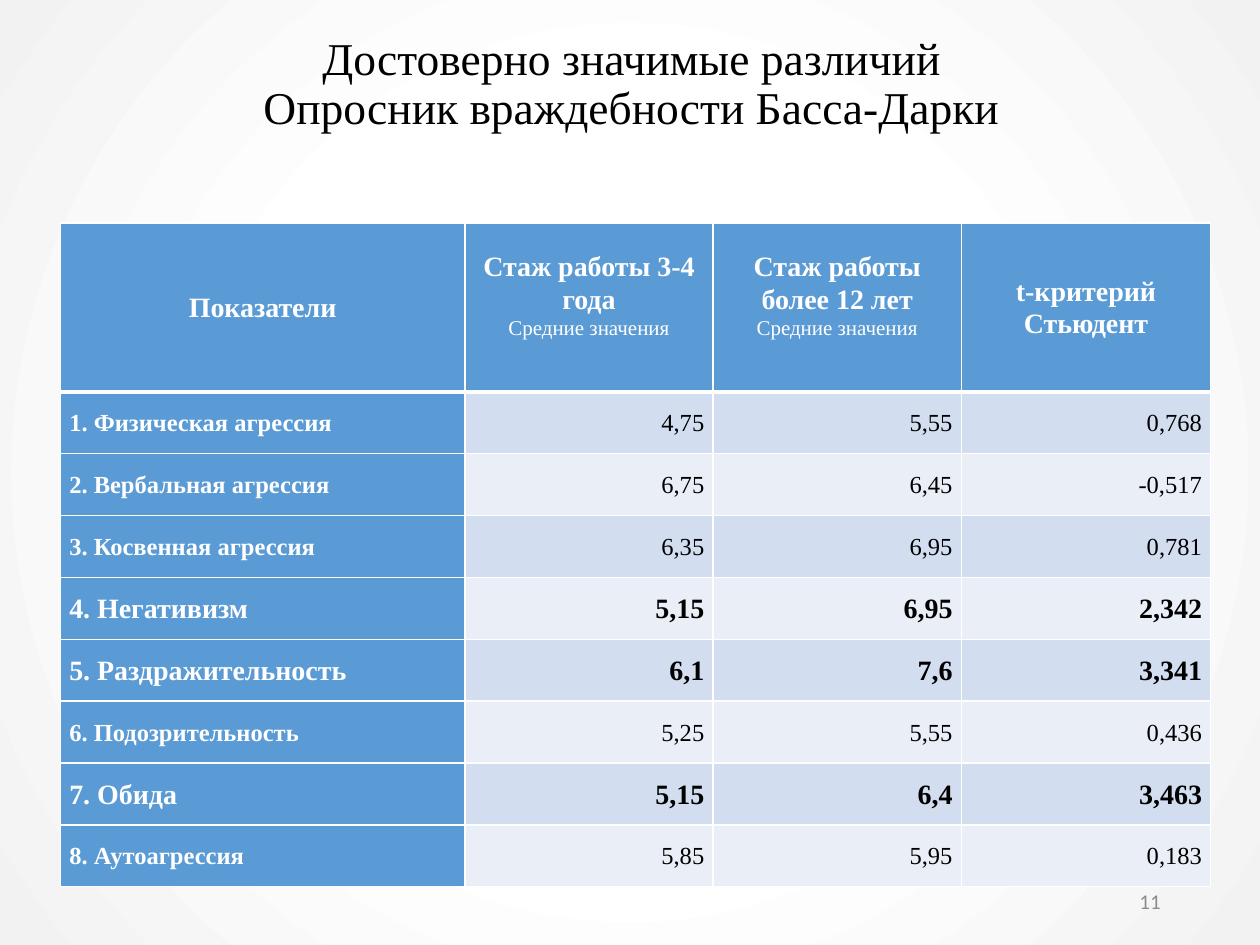
from lxml.etree import fromstring
from pptx import Presentation
from pptx.dml.color import RGBColor
from pptx.enum.shapes import MSO_SHAPE
from pptx.enum.text import MSO_ANCHOR, PP_ALIGN
from pptx.oxml.ns import nsdecls
from pptx.util import Inches, Pt

SERIF = "Times New Roman"
BLUE, WHITE, BLACK, GREY, EDGE = "5B9BD5", "FFFFFF", "000000", "8C8C8C", "F2F2F2"
BANDS = ("D2DEEF", "EAEFF7")
MEANS = "Средние значения"

HEADERS = [
    ["Показатели"],
    ["Стаж работы 3-4 года", MEANS],
    ["Стаж работы более 12 лет", MEANS],
    ["t-критерий Стьюдент"],
]
# Indicator, two mean values, t-test, significant difference
ROWS = [
    ("1. Физическая агрессия", "4,75", "5,55", "0,768", False),
    ("2. Вербальная агрессия", "6,75", "6,45", "-0,517", False),
    ("3. Косвенная агрессия", "6,35", "6,95", "0,781", False),
    ("4. Негативизм", "5,15", "6,95", "2,342", True),
    ("5. Раздражительность", "6,1", "7,6", "3,341", True),
    ("6. Подозрительность", "5,25", "5,55", "0,436", False),
    ("7. Обида", "5,15", "6,4", "3,463", True),
    ("8. Аутоагрессия", "5,85", "5,95", "0,183", False),
]
COLUMNS = (3.21, 1.97, 1.97, 1.98)
HEADER_HEIGHT, TABLE_HEIGHT = 1.34, 5.27


def rgb(color):
    return RGBColor.from_string(color)


def write(p, text, size=14, color=BLACK, bold=False, font=SERIF,
          align=PP_ALIGN.LEFT, spacing=1.0):
    """Fill a paragraph; a newline in the text is a line break."""
    p.alignment, p.line_spacing = align, spacing
    for i, line in enumerate(text.split("\n")):
        if i:
            p.add_line_break()
        r = p.add_run()
        r.text = line
        r.font.name, r.font.size, r.font.bold = font, Pt(size), bold
        r.font.color.rgb = rgb(color)


class Deck:
    def __init__(self, slide):
        self.s = slide

    def background(self, width, height):
        sp = self.s.shapes.add_shape(MSO_SHAPE.RECTANGLE, 0, 0, width, height)
        sp.shadow.inherit = False
        sp.line.fill.background()
        stops = "".join(
            f'<a:gs pos="{pos}"><a:srgbClr val="{color}"/></a:gs>'
            for pos, color in ((0, WHITE), (50000, WHITE), (100000, EDGE)))
        sp.fill.solid()
        solid = sp._element.spPr.find("{*}solidFill")
        solid.getparent().replace(solid, fromstring(
            f'<a:gradFill {nsdecls("a")}><a:gsLst>{stops}</a:gsLst>'
            '<a:path path="circle"><a:fillToRect l="50000" t="50000" '
            'r="50000" b="50000"/></a:path></a:gradFill>'))

    def text(self, x, y, w, h, text, **style):
        tf = self.s.shapes.add_textbox(
            Inches(x), Inches(y), Inches(w), Inches(h)).text_frame
        tf.word_wrap = True
        tf.vertical_anchor = MSO_ANCHOR.MIDDLE
        write(tf.paragraphs[0], text, **style)

    def table(self, x, y, columns, rows, height):
        table = self.s.shapes.add_table(
            rows, len(columns), Inches(x), Inches(y),
            Inches(sum(columns)), Inches(height)).table
        for column, width in zip(table.columns, columns):
            column.width = Inches(width)
        return table

    def cell(self, cell, fill, top=1, bottom=1, pad_bottom=0):
        """Style a cell and return its text frame."""
        cell.fill.solid()
        cell.fill.fore_color.rgb = rgb(fill)
        cell.vertical_anchor = MSO_ANCHOR.MIDDLE
        cell.margin_left = cell.margin_right = Inches(0.07)
        cell.margin_top, cell.margin_bottom = 0, Inches(pad_bottom)
        tcPr = cell._tc.get_or_add_tcPr()
        for i, (side, width) in enumerate(
                (("L", 1), ("R", 1), ("T", top), ("B", bottom))):
            tcPr.insert(i, fromstring(
                f'<a:ln{side} {nsdecls("a")} w="{Pt(width)}"><a:solidFill>'
                f'<a:srgbClr val="{WHITE}"/></a:solidFill></a:ln{side}>'))
        return cell.text_frame


def main():
    prs = Presentation()
    prs.slide_width, prs.slide_height = Inches(10), Inches(7.5)
    deck = Deck(prs.slides.add_slide(prs.slide_layouts[6]))

    # Background, title and page number
    deck.background(prs.slide_width, prs.slide_height)
    deck.text(0.71, 0.18, 8.61, 0.99,
              "Достоверно значимые различий\nОпросник враждебности Басса-Дарки",
              size=26, align=PP_ALIGN.CENTER, spacing=0.9)
    deck.text(7.06, 6.95, 2.25, 0.4, "11", size=12, color=GREY,
              font="Calibri", align=PP_ALIGN.RIGHT)

    # Table header
    table = deck.table(0.48, 1.77, COLUMNS, len(ROWS) + 1, TABLE_HEIGHT)
    table.rows[0].height = Inches(HEADER_HEIGHT)
    for c, lines in enumerate(HEADERS):
        tf = deck.cell(table.cell(0, c), BLUE, bottom=3,
                       pad_bottom=0.2 if len(lines) > 1 else 0)
        for i, line in enumerate(lines):
            p = tf.add_paragraph() if i else tf.paragraphs[0]
            write(p, line, size=12 if i else 16, bold=not i, color=WHITE,
                  align=PP_ALIGN.CENTER, spacing=1.05)

    # Table body: significant rows are larger and bold
    for n, (*values, significant) in enumerate(ROWS, start=1):
        table.rows[n].height = Inches((TABLE_HEIGHT - HEADER_HEIGHT) / len(ROWS))
        for c, value in enumerate(values):
            label = c == 0
            tf = deck.cell(table.cell(n, c), BLUE if label else BANDS[(n - 1) % 2],
                           top=3 if n == 1 else 1)
            write(tf.paragraphs[0], value, size=16 if significant else 14,
                  bold=label or significant, color=WHITE if label else BLACK,
                  align=PP_ALIGN.LEFT if label else PP_ALIGN.RIGHT, spacing=1.05)

    prs.save("out.pptx")


if __name__ == "__main__":
    main()
